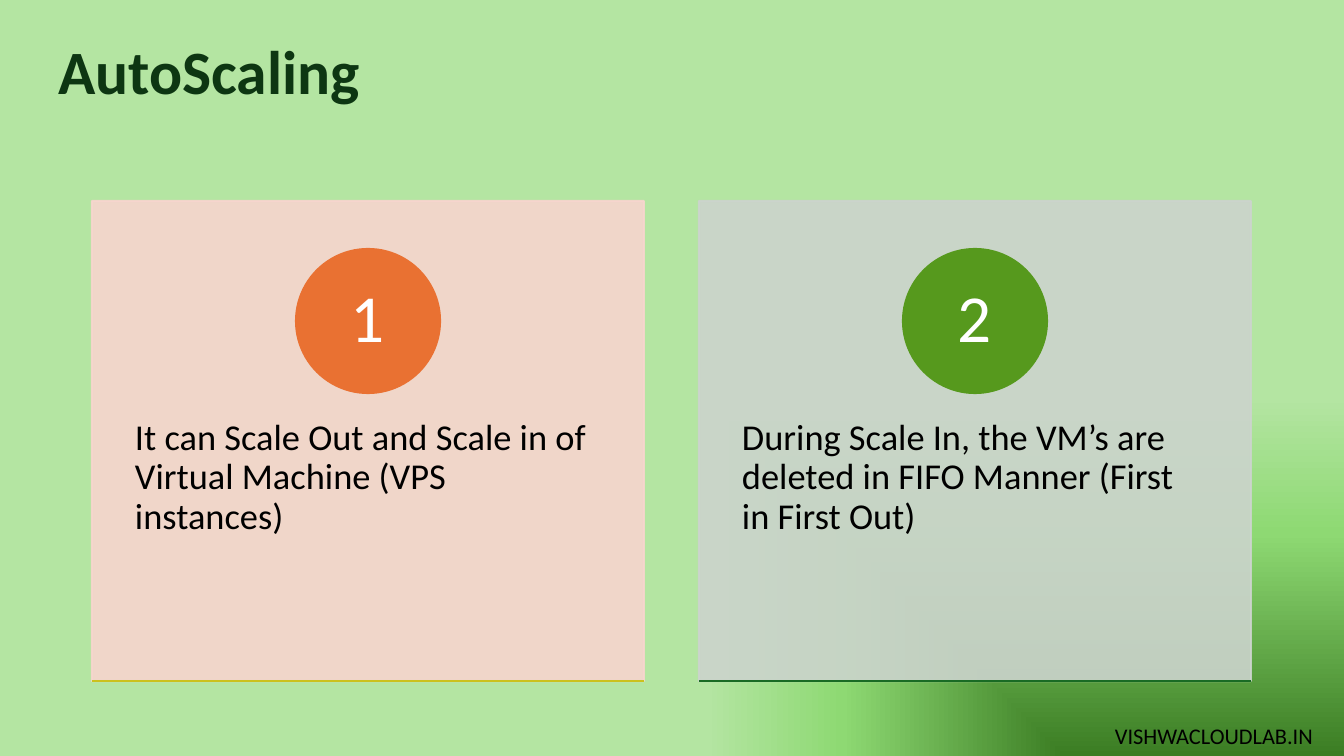
from lxml.etree import SubElement
from pptx import Presentation
from pptx.dml.color import RGBColor
from pptx.enum.shapes import MSO_CONNECTOR, MSO_SHAPE
from pptx.enum.text import MSO_ANCHOR, MSO_AUTO_SIZE, PP_ALIGN
from pptx.oxml import parse_xml
from pptx.oxml.ns import nsdecls, qn
from pptx.util import Emu, Pt

TITLE = "AutoScaling"
SITE = "VISHWACLOUDLAB.IN"
# text, card colour, circle colour, base line colour
CARDS = [
    ("It can Scale Out and Scale in of Virtual Machine (VPS instances)",
     "F7D5CE", "E97132", "CBC11E"),
    ("During Scale In, the VM’s are deleted in FIFO Manner (First in First Out)",
     "CCD4CD", "56991D", "196B24"),
]
STOPS = [(0, "3B7D23"), (59, "8ED973"), (95, "B4E5A2")]

WIDE, HIGH = 1344, 756
SCALE = 12192000 / WIDE
LEFT, TOP, CARD_W, CARD_H, STEP = 92, 201, 552, 480, 607
DISC, DISC_TOP = 144, 249
TEXT_TOP, TEXT_H = 383, 288


def px(n):
    return Emu(round(n * SCALE))


def box(*sides):
    return [px(n) for n in sides]


def tint(color, code, alpha=None):
    """Set a colour, with an opacity in percent if given."""
    color.rgb = RGBColor.from_string(code)
    if alpha:
        node = color._xFill.find(qn("a:srgbClr"))
        SubElement(node, qn("a:alpha")).set("val", str(alpha * 1000))


def paint(shape, code, alpha=None):
    shape.shadow.inherit = False
    shape.fill.solid()
    tint(shape.fill.fore_color, code, alpha)
    shape.line.width = Pt(1.5)
    shape.line.fill.solid()
    tint(shape.line.fill.fore_color, code, alpha)


def write(shape, text, size, code="000000", bold=False, align=PP_ALIGN.LEFT,
          anchor=MSO_ANCHOR.TOP, inset=(10, 5), space=0.9):
    frame = shape.text_frame
    frame.word_wrap = True
    frame.auto_size = MSO_AUTO_SIZE.NONE
    frame.vertical_anchor = anchor
    frame.margin_left = frame.margin_right = px(inset[0])
    frame.margin_top = frame.margin_bottom = px(inset[1])
    para = frame.paragraphs[0]
    para.alignment = align
    para.line_spacing = space
    run = para.add_run()
    run.text = text
    run.font.name = "Calibri"
    run.font.size = Pt(size)
    run.font.bold = bold
    tint(run.font.color, code)


def shade(slide):
    """Fill the background from the lower right corner outwards."""
    stops = "".join(f'<a:gs pos="{pos * 1000}"><a:srgbClr val="{code}"/></a:gs>'
                    for pos, code in STOPS)
    back = parse_xml(
        f'<p:bg {nsdecls("p", "a")}><p:bgPr><a:gradFill rotWithShape="1">'
        f'<a:gsLst>{stops}</a:gsLst><a:path path="rect">'
        '<a:fillToRect l="100000" t="100000"/></a:path></a:gradFill>'
        '<a:effectLst/></p:bgPr></p:bg>')
    slide.element.cSld.insert(0, back)


def card(shapes, num, text, pale, strong, base):
    left = LEFT + (num - 1) * STEP
    panel = shapes.add_shape(MSO_SHAPE.RECTANGLE, *box(left, TOP, CARD_W, CARD_H))
    paint(panel, pale, 90)
    body = shapes.add_textbox(*box(left, TEXT_TOP, CARD_W, TEXT_H))
    write(body, text, 26, inset=(43, 36))
    disc = shapes.add_shape(
        MSO_SHAPE.OVAL, *box(left + (CARD_W - DISC) / 2, DISC_TOP, DISC, DISC))
    paint(disc, strong)
    write(disc, str(num), 48, "FFFFFF", align=PP_ALIGN.CENTER,
          anchor=MSO_ANCHOR.MIDDLE, inset=(11, 1))
    low = TOP + CARD_H
    rule = shapes.add_connector(
        MSO_CONNECTOR.STRAIGHT, *box(left, low, left + CARD_W, low))
    rule.line.width = Pt(1.5)
    tint(rule.line.color, base)
    SubElement(rule._element.spPr, qn("a:effectLst"))


def main():
    deck = Presentation()
    deck.slide_width, deck.slide_height = px(WIDE), px(HIGH)
    slide = deck.slides.add_slide(deck.slide_layouts[5])
    shade(slide)
    shapes = slide.shapes
    title = shapes.title
    title.left, title.top, title.width, title.height = box(48, 28, 1159, 94)
    write(title, TITLE, 44, "0D3612", bold=True, anchor=MSO_ANCHOR.MIDDLE)
    for num, data in enumerate(CARDS, 1):
        card(shapes, num, *data)
    site = shapes.add_textbox(*box(1105, 717, 237, 37))
    write(site, SITE, 16, space=1.0)
    deck.save("out.pptx")


if __name__ == "__main__":
    main()
